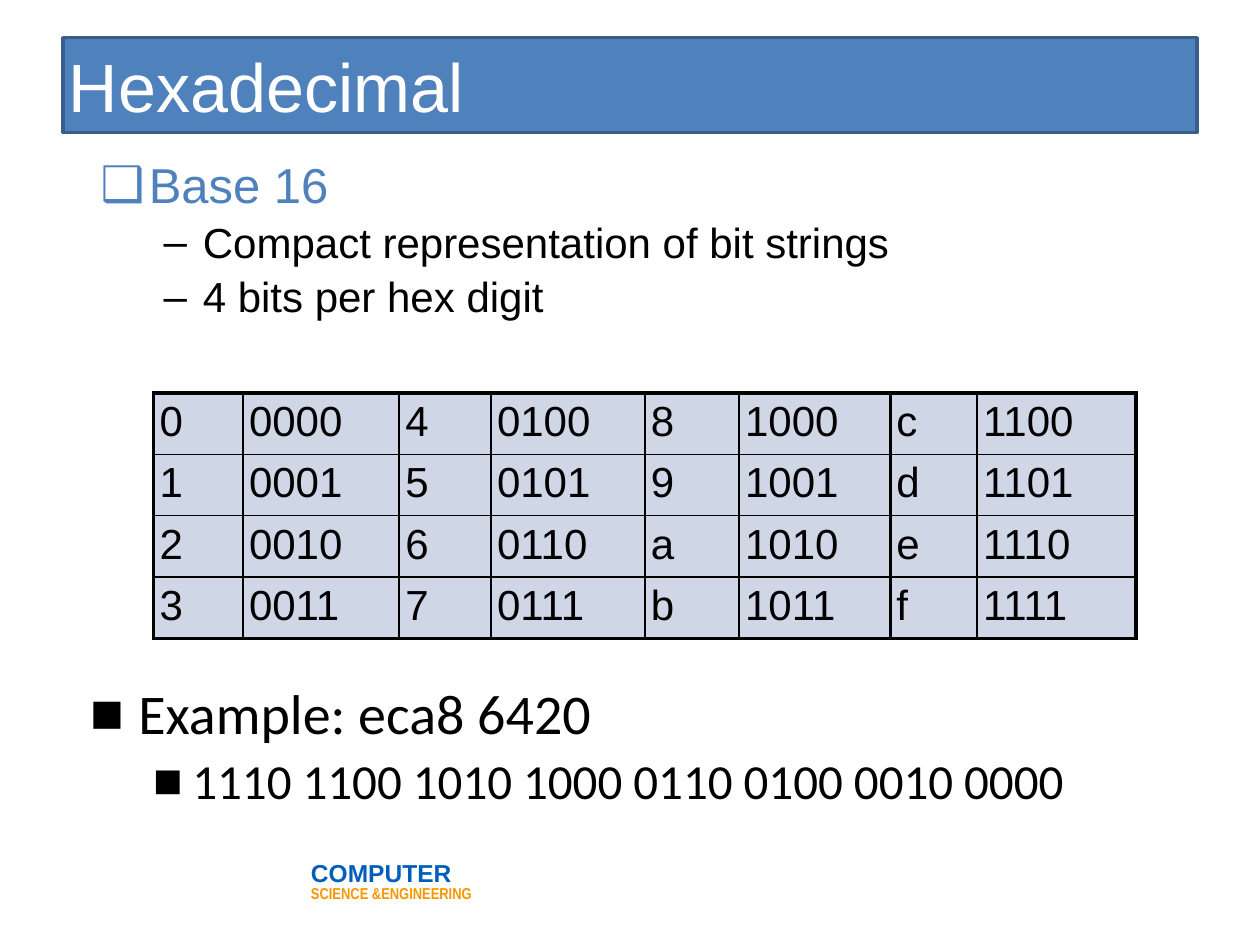
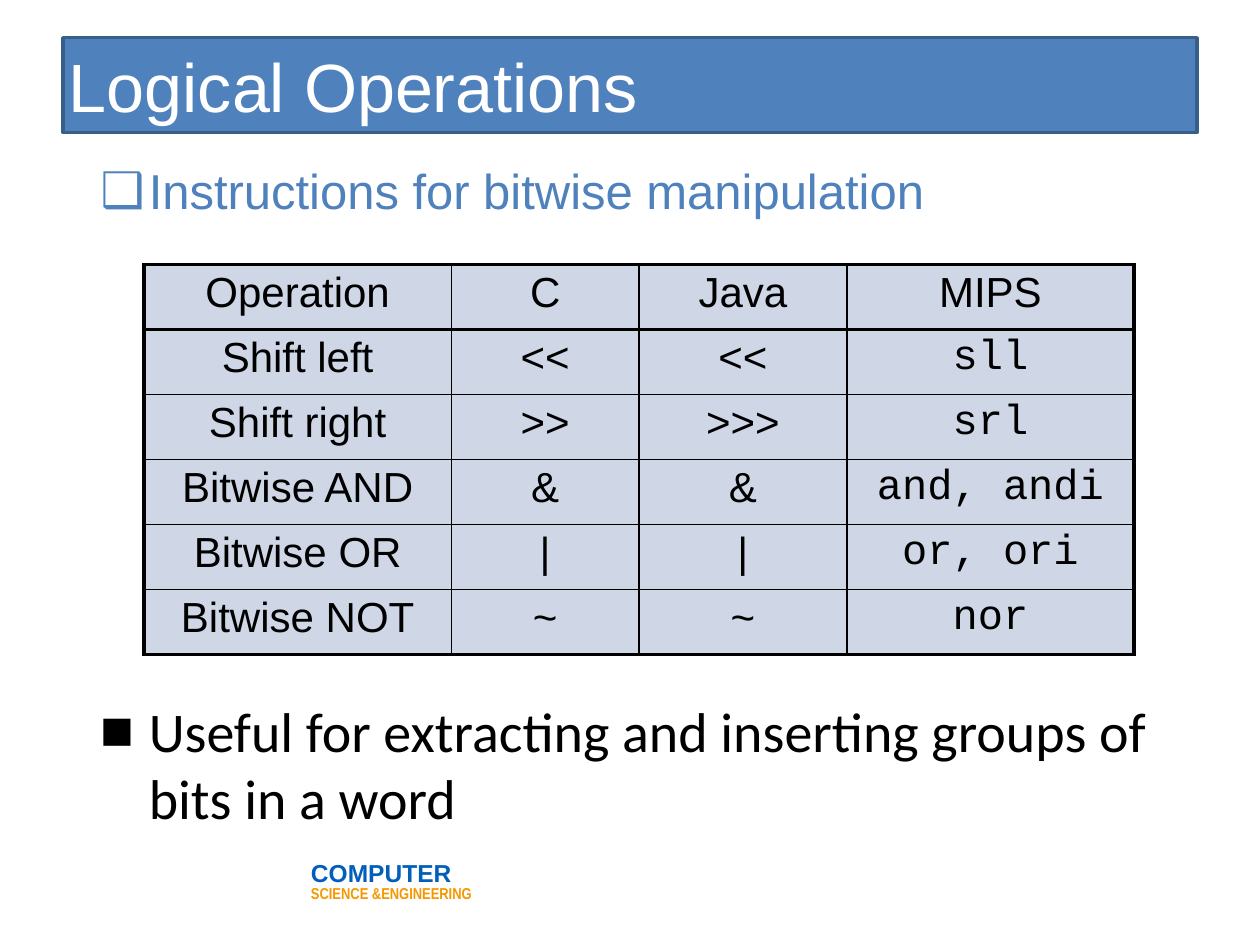
import pptx
import pptx.util
import pptx.dml.color
import pptx.enum.shapes
import pptx.enum.text
import pptx.oxml.ns
from lxml import etree

Cm, Pt = pptx.util.Cm, pptx.util.Pt
ALIGN = pptx.enum.text.PP_ALIGN

# Shared look
BLUE, EDGE, PALE = "4F81BD", "3A5E8A", "CFD7E7"
BLACK, WHITE = "000000", "FFFFFF"
NAVY, GOLD = "015EBA", "F59800"
SANS, NARROW, BODY, CODE = "Arial", "Arial Narrow", "Calibri", "Courier New"
PAD = 0.12
THIN, MID, THICK = 1, 1.5, 2.25

# Bullet styles: mark, font, size, colour, level, space before
HEAD = ("❑", SANS, 28, BLUE, 0, 0)
DASH = ("–", SANS, 24, BLACK, 1, 5)
NOTE = ("■", BODY, 32, BLACK, 0, 0)
SUB = ("■", BODY, 28, BLACK, 1, 6)
INDENT = [(0.97, -0.97), (2.06, -0.79)]

# Content: four pairs of hex digit and bits in each row
HEX = [[text for n in range(row, 16, 4) for text in (f"{n:x}", f"{n:04b}")]
       for row in range(4)]
OPS = [
    ("Operation", "C", "Java", "MIPS"),
    ("Shift left", "<<", "<<", "sll"),
    ("Shift right", ">>", ">>>", "srl"),
    ("Bitwise AND", "&", "&", "and, andi"),
    ("Bitwise OR", "|", "|", "or, ori"),
    ("Bitwise NOT", "~", "~", "nor"),
]
SLIDES = [
    {
        "title": "Hexadecimal",
        "lists": [
            ((1.91, 3.12, 22.99, 4.39), 0.9, [
                (HEAD, "Base 16"),
                (DASH, "Compact representation of bit strings"),
                (DASH, "4 bits per hex digit")]),
            ((1.7, 13.72, 22.99, 2.97), 0.9, [
                (NOTE, "Example: eca8 6420"),
                (SUB, "1110 1100 1010 1000 0110 0100 0010 0000")]),
        ],
        "table": {"rows": HEX, "at": (3.1, 7.92), "high": 1.2,
                  "cols": [1.8, 3.15, 1.85, 3.1, 1.9, 3.05, 1.75, 3.2],
                  "align": ALIGN.LEFT, "split": (2, 4, 6), "head": False},
    },
    {
        "title": "Logical Operations",
        "lists": [
            ((1.91, 3.12, 22.99, 1.93), 1, [
                (HEAD, "Instructions for bitwise manipulation")]),
            ((1.91, 13.92, 21.59, 3), 1, [
                (NOTE, "Useful for extracting and inserting groups of "
                       "bits in a word")]),
        ],
        "table": {"rows": OPS, "at": (2.9, 5.33), "high": 1.31,
                  "cols": [6.2, 3.78, 4.19, 5.79],
                  "align": ALIGN.CENTER, "split": (), "head": True},
    },
]


def color(code):
    return pptx.dml.color.RGBColor.from_string(code)


def add(parent, tag, **attrs):
    return etree.SubElement(parent, pptx.oxml.ns.qn(tag), attrs)


def style(para, font, size, code, bold=False):
    for run in para.runs:
        run.font.name, run.font.size, run.font.bold = font, Pt(size), bold
        run.font.color.rgb = color(code)


def pad(frame, side):
    frame.margin_left = frame.margin_right = Cm(side)
    frame.margin_top = frame.margin_bottom = Cm(side)


def add_box(slide, at, fill, line, width):
    box = slide.shapes.add_shape(
        pptx.enum.shapes.MSO_SHAPE.RECTANGLE, *map(Cm, at))
    box.shadow.inherit = False
    box.fill.solid()
    box.fill.fore_color.rgb = color(fill)
    box.line.color.rgb = color(line)
    box.line.width = Pt(width)
    return box.text_frame


def add_title(slide, text):
    frame = add_box(slide, (1.27, 0.76, 22.86, 1.91), BLUE, EDGE, 2)
    pad(frame, PAD)
    frame.vertical_anchor = pptx.enum.text.MSO_ANCHOR.MIDDLE
    frame.text = text
    frame.paragraphs[0].alignment = ALIGN.LEFT
    style(frame.paragraphs[0], SANS, 39, WHITE)


def add_footer(slide):
    frame = add_box(slide, (6.27, 17.55, 3.63, 0.89), WHITE, WHITE, 3)
    pad(frame, 0)
    frame.vertical_anchor = pptx.enum.text.MSO_ANCHOR.TOP
    frame.text = "COMPUTER\nSCIENCE &ENGINEERING"
    top, low = frame.paragraphs
    for para in (top, low):
        para.alignment = ALIGN.LEFT
        para.line_spacing = 0.5
    low.space_before = Pt(4)
    style(top, SANS, 14, NAVY, True)
    style(low, NARROW, 9, GOLD, True)


def add_list(slide, at, lead, items):
    frame = slide.shapes.add_textbox(*map(Cm, at)).text_frame
    frame.word_wrap = True
    pad(frame, PAD)
    frame.text = "\n".join(text for _, text in items)
    for para, (kind, _) in zip(frame.paragraphs, items):
        mark, font, size, code, level, before = kind
        para.level = level
        para.line_spacing = lead
        para.space_before = Pt(before)
        props = para._p.get_or_add_pPr()
        left, first = INDENT[level]
        props.set("marL", str(Cm(left)))
        props.set("indent", str(Cm(first)))
        add(add(props, "a:buClr"), "a:srgbClr", val=code)
        add(props, "a:buFont", typeface=SANS)
        add(props, "a:buChar", char=mark)
        style(para, font, size, code)


def set_edges(cell, widths):
    props = cell._tc.get_or_add_tcPr()
    for side, width in zip("LRTB", widths):
        line = add(props, "a:ln" + side, w=str(Pt(width)))
        add(add(line, "a:solidFill"), "a:srgbClr", val=BLACK)


def add_table(slide, rows, at, high, cols, align, split, head):
    size = len(rows), len(cols)
    grid = slide.shapes.add_table(
        *size, *map(Cm, (*at, sum(cols), high * len(rows)))).table
    grid.first_row = grid.horz_banding = False
    for col, wide in zip(grid.columns, cols):
        col.width = Cm(wide)

    # Line weights: heavy frame, medium group and header rules
    def upright(c):
        return THICK if c in (0, len(cols)) else MID if c in split else THIN

    def level(r):
        return THICK if r in (0, len(rows)) else MID if head and r == 1 else THIN

    for r, row in enumerate(rows):
        grid.rows[r].height = Cm(high)
        for c, text in enumerate(row):
            cell = grid.cell(r, c)
            set_edges(cell, (upright(c), upright(c + 1), level(r), level(r + 1)))
            cell.fill.solid()
            cell.fill.fore_color.rgb = color(PALE)
            pad(cell, PAD)
            cell.margin_top = cell.margin_bottom = Cm(0.11)
            cell.text = text
            para = cell.text_frame.paragraphs[0]
            para.alignment = align
            code = head and r > 0 and c == len(cols) - 1
            style(para, CODE if code else SANS, 24, BLACK)


def main():
    deck = pptx.Presentation()
    deck.slide_width, deck.slide_height = Cm(25.4), Cm(19.05)
    for page in SLIDES:
        slide = deck.slides.add_slide(deck.slide_layouts[6])
        add_footer(slide)
        add_title(slide, page["title"])
        for block in page["lists"]:
            add_list(slide, *block)
        add_table(slide, **page["table"])
    deck.save("out.pptx")


if __name__ == "__main__":
    main()
